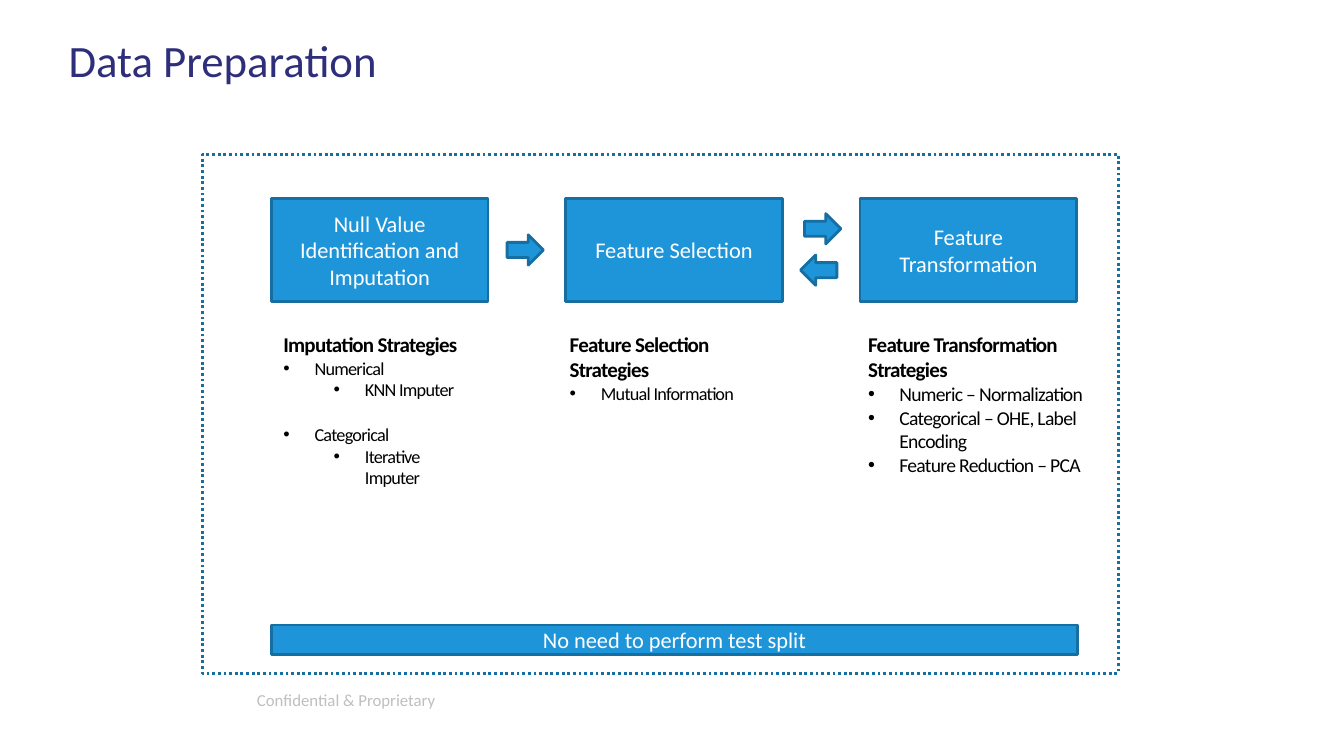
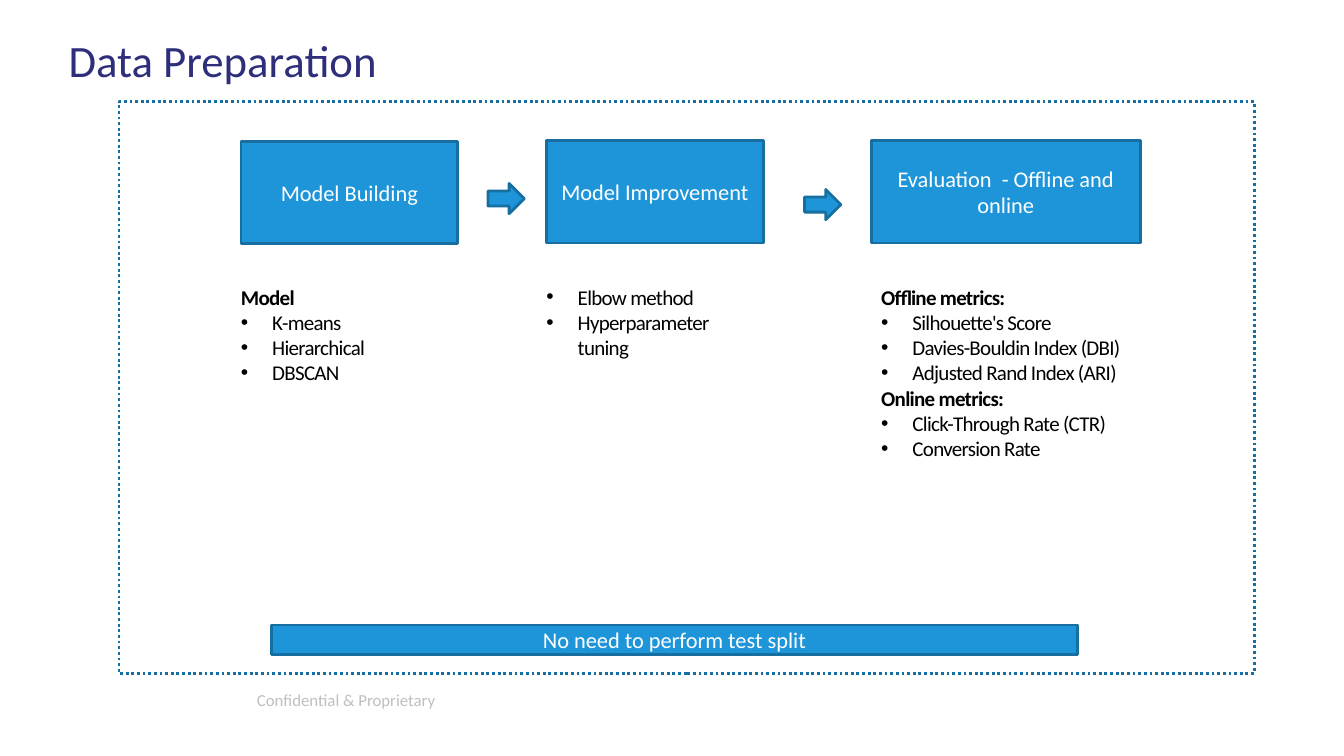
from lxml import etree
from pptx import Presentation
from pptx import util as u
from pptx.dml.color import RGBColor
from pptx.enum import dml, shapes, text
from pptx.oxml.ns import qn

WIDTH, HEIGHT = 13.33, 7.5
FONT = "Calibri"
COLORS = {"title": "2E2E7B", "fill": "1F95D9", "line": "176EA1",
          "footer": "BFBFBF", "body": "000000", "label": "FFFFFF"}
STEP_WIDTH, STEP_HEIGHT = 2.15, 1.02
ARROW_WIDTH, ARROW_HEIGHT = 0.36, 0.3
HANGING = 0.31
LEVEL_INDENT = 0.5


def inches(box):
    return [u.Inches(length) for length in box]


def color(name):
    return RGBColor.from_string(COLORS[name])


def write(paragraph, words, size, ink, bold=False, align=None, tracking=0,
          level=0, before=0, line_spacing=None):
    run = paragraph.add_run()
    run.text = words
    run.font.name = FONT
    run.font.size = u.Pt(size)
    run.font.bold = bold
    run.font.color.rgb = color(ink)
    if tracking:
        run.font._element.set("spc", str(int(tracking * 100)))
    paragraph.alignment = align
    if line_spacing:
        paragraph.line_spacing = line_spacing
    if before:
        paragraph.space_before = u.Pt(before)
    if level:
        paragraph.level = level - 1
        props = paragraph._p.get_or_add_pPr()
        left = HANGING + LEVEL_INDENT * (level - 1)
        props.set("marL", str(u.Inches(left)))
        props.set("indent", str(u.Inches(-HANGING)))
        etree.SubElement(props, qn("a:buFont"), typeface="Arial")
        etree.SubElement(props, qn("a:buChar"), char="•")


def prepare(frame, anchor, inset=None):
    frame.word_wrap = True
    frame.auto_size = text.MSO_AUTO_SIZE.NONE
    frame.vertical_anchor = anchor
    if inset is not None:
        frame.margin_left = frame.margin_right = u.Inches(inset)
        frame.margin_top = frame.margin_bottom = u.Inches(inset)
    return frame


def add_outlined(slide, kind, box, filled=True):
    shape = slide.shapes.add_shape(kind, *inches(box))
    shape.shadow.inherit = False
    if filled:
        shape.fill.solid()
        shape.fill.fore_color.rgb = color("fill")
    else:
        shape.fill.background()
        shape.line.dash_style = dml.MSO_LINE.ROUND_DOT
    shape.line.color.rgb = color("line")
    shape.line.width = u.Pt(2)
    return shape


def add_label(slide, box, label):
    bar = add_outlined(slide, shapes.MSO_SHAPE.RECTANGLE, box)
    frame = prepare(bar.text_frame, text.MSO_ANCHOR.MIDDLE)
    write(frame.paragraphs[0], label, 16, "label", align=text.PP_ALIGN.CENTER)


def add_notes(slide, box, lines):
    notes = slide.shapes.add_textbox(*inches(box))
    frame = prepare(notes.text_frame, text.MSO_ANCHOR.TOP, 0)
    for index, (words, level, size, *before) in enumerate(lines):
        paragraph = frame.add_paragraph() if index else frame.paragraphs[0]
        write(paragraph, words, size, "body", bold=level == 0, level=level,
              tracking=-0.5, before=before[0] if before else 0)


def add_arrow(slide, center_x, center_y, backward=False):
    arrow = add_outlined(slide, shapes.MSO_SHAPE.RIGHT_ARROW,
                         (center_x - ARROW_WIDTH / 2, center_y - ARROW_HEIGHT / 2,
                          ARROW_WIDTH, ARROW_HEIGHT))
    if backward:
        arrow.rotation = 180


def add_step(slide, box, label, notes_box, lines):
    left, top = box[:2]
    add_label(slide, box, label)
    shift, drop, width, height = notes_box
    add_notes(slide, (left + shift, top + drop, width, height), lines)


def add_stage_slide(deck, frame_box, steps, arrows):
    slide = deck.slides.add_slide(deck.slide_layouts[5])
    title = slide.shapes.title
    title.left, title.top, title.width, title.height = inches((0.68, 0.38, 12.01, 0.73))
    heading = prepare(title.text_frame, text.MSO_ANCHOR.TOP, 0)
    write(heading.paragraphs[0], "Data Preparation", 32, "title",
          align=text.PP_ALIGN.LEFT, line_spacing=0.9)

    footer = slide.shapes.add_textbox(*inches((2.45, 6.74, 4.5, 0.4)))
    footing = prepare(footer.text_frame, text.MSO_ANCHOR.MIDDLE)
    write(footing.paragraphs[0], "Confidential & Proprietary", 12, "footer")

    for step in steps:
        add_step(slide, *step)
    for arrow in arrows:
        add_arrow(slide, *arrow)
    add_outlined(slide, shapes.MSO_SHAPE.RECTANGLE, frame_box, filled=False)
    add_label(slide, (2.69, 6.2, 8, 0.29), "No need to perform test split")


def add_preparation(deck):
    top, pitch = 1.97, 2.92
    boxes = [(2.69 + pitch * column, top, STEP_WIDTH, STEP_HEIGHT) for column in range(3)]
    middle = top + STEP_HEIGHT / 2
    steps = [
        (boxes[0], "Null Value Identification and Imputation", (0.12, 1.32, 1.9, 2.98),
         [("Imputation Strategies", 0, 15), ("Numerical", 1, 13), ("KNN Imputer", 2, 13),
          ("Categorical", 1, 13, 16), ("Iterative Imputer", 2, 13)]),
        (boxes[1], "Feature Selection", (0.04, 1.32, 2.15, 2.1),
         [("Feature Selection Strategies", 0, 15), ("Mutual Information", 1, 13)]),
        (boxes[2], "Feature Transformation", (0.08, 1.32, 2.15, 2.68),
         [("Feature Transformation Strategies", 0, 15), ("Numeric – Normalization", 1, 14),
          ("Categorical – OHE, Label Encoding", 1, 14), ("Feature Reduction – PCA", 1, 14)]),
    ]
    arrows = [(5.21, middle), (8.16, middle - 0.21), (8.12, middle + 0.2, True)]
    add_stage_slide(deck, (2.01, 1.53, 9.08, 5.15), steps, arrows)


def add_modelling(deck):
    top = 1.39
    steps = [
        ((2.39, top + 0.01, STEP_WIDTH, STEP_HEIGHT), "Model Building", (0, 1.42, 1.9, 2.98),
         [("Model", 0, 15), ("K-means", 1, 15), ("Hierarchical", 1, 15), ("DBSCAN", 1, 15)]),
        ((5.42, top, STEP_WIDTH, STEP_HEIGHT), "Model Improvement", (0, 1.43, 2.15, 2.1),
         [("Elbow method", 1, 15), ("Hyperparameter tuning", 1, 15)]),
        ((8.64, top, 2.67, STEP_HEIGHT), "Evaluation  - Offline and online",
         (0.1, 1.43, 3.05, 2.68),
         [("Offline metrics:", 0, 15), ("Silhouette's Score", 1, 15),
          ("Davies-Bouldin Index (DBI)", 1, 15), ("Adjusted Rand Index (ARI)", 1, 15),
          ("Online metrics:", 0, 15), ("Click-Through Rate (CTR)", 1, 15),
          ("Conversion Rate", 1, 15)]),
    ]
    arrows = [(5.02, 1.97), (8.16, 2.03)]
    add_stage_slide(deck, (1.18, 1.01, 11.26, 5.67), steps, arrows)


def main():
    deck = Presentation()
    deck.slide_width, deck.slide_height = inches((WIDTH, HEIGHT))
    add_preparation(deck)
    add_modelling(deck)
    deck.save("out.pptx")


if __name__ == "__main__":
    main()
